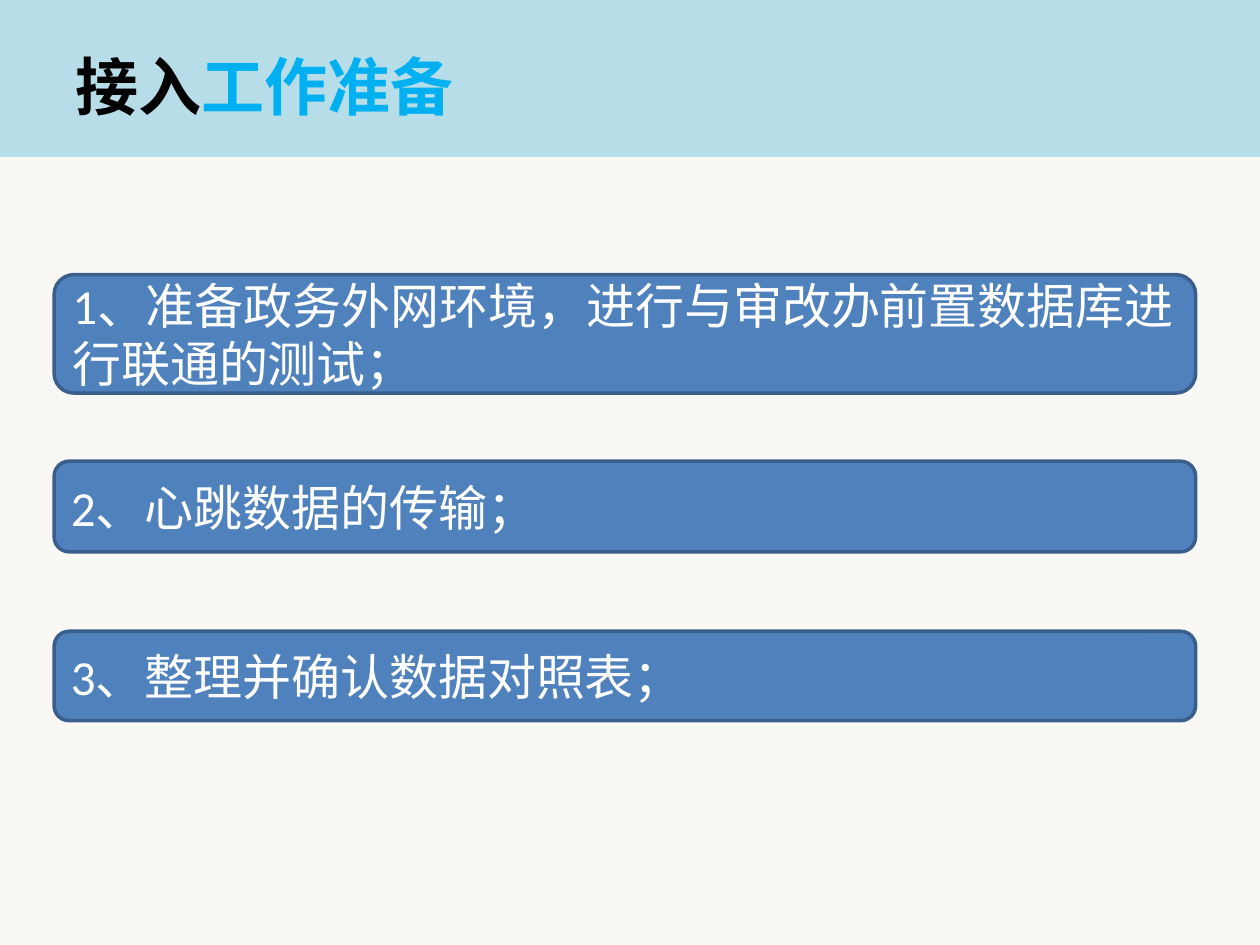
from lxml.etree import SubElement
from pptx import Presentation
from pptx.dml.color import RGBColor
from pptx.enum.shapes import MSO_SHAPE as Shape
from pptx.enum.text import MSO_ANCHOR as Anchor, PP_ALIGN as Align
from pptx.oxml.ns import qn
from pptx.util import Pt

BACKGROUND = RGBColor(0xF9, 0xF8, 0xF5)
BAND = RGBColor(0xB7, 0xDE, 0xE8)
CARD = RGBColor(0x4F, 0x81, 0xBD)
CARD_EDGE = RGBColor(0x3A, 0x5F, 0x8C)
WHITE = RGBColor(0xFF, 0xFF, 0xFF)
BLACK = RGBColor(0, 0, 0)
ACCENT = RGBColor(0x00, 0xB0, 0xF0)
CJK_FONT = "Noto Sans CJK SC"

TITLE = [("接入", BLACK), ("工作准备", ACCENT)]
TITLE_FORMAT = {"size": Pt(36), "name": CJK_FONT, "bold": True}
STEP_FORMAT = {"size": Pt(28), "name": "Calibri", "bold": False}
# text, top, height
STEPS = [
    ("1、准备政务外网环境，进行与审改办前置数据库进行联通的测试；", 156.96, 67.68),
    ("2、心跳数据的传输；", 263.52, 51.84),
    ("3、整理并确认数据对照表；", 360.72, 51.12),
]
STEP_LEFT, STEP_WIDTH = 30.96, 652.32


def add_panel(page, kind, bounds, fill, edge):
    panel = page.shapes.add_shape(kind, *map(Pt, bounds))
    panel.shadow.inherit = False
    panel.fill.solid()
    panel.fill.fore_color.rgb = fill
    panel.line.color.rgb = edge
    panel.line.width = Pt(2)
    return panel


def write(box, spans, format_values):
    """Fill a box with one left-aligned line of (text, colour) spans."""
    frame = box.text_frame
    frame.word_wrap = True
    frame.vertical_anchor = Anchor.MIDDLE
    para = frame.paragraphs[0]
    para.alignment = Align.LEFT
    for text, colour in spans:
        span = para.add_run()
        span.text = text
        for name, value in format_values.items():
            setattr(span.font, name, value)
        span.font.color.rgb = colour
        SubElement(span.font._element, qn("a:ea"), typeface=CJK_FONT)


def main():
    deck = Presentation()
    deck.slide_width, deck.slide_height = Pt(720), Pt(540)
    page = deck.slides.add_slide(deck.slide_layouts[6])
    page.background.fill.solid()
    page.background.fill.fore_color.rgb = BACKGROUND

    for text, top, height in STEPS:
        card = add_panel(page, Shape.ROUNDED_RECTANGLE,
                         (STEP_LEFT, top, STEP_WIDTH, height), CARD, CARD_EDGE)
        write(card, [(text, WHITE)], STEP_FORMAT)

    add_panel(page, Shape.RECTANGLE, (0, 0, 720, 88.56), BAND, BAND)
    title = page.shapes.add_textbox(Pt(36), Pt(3.6), Pt(647.28), Pt(90))
    write(title, TITLE, TITLE_FORMAT)
    deck.save("out.pptx")


if __name__ == "__main__":
    main()
